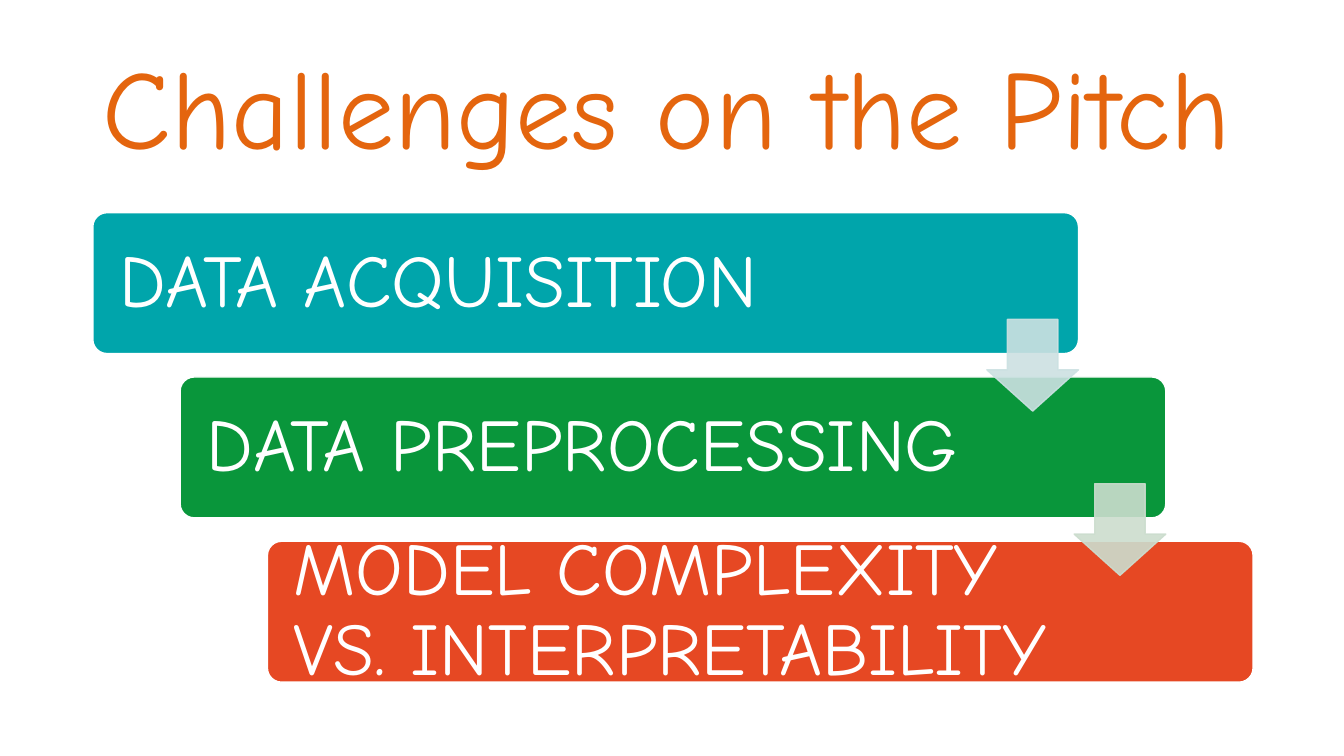
from lxml import etree
from pptx import Presentation
from pptx.dml.color import RGBColor
from pptx.enum import shapes, text
from pptx.oxml.ns import qn
from pptx.util import Cm, Pt

TITLE = "Challenges on the Pitch"
STEPS = [
    ("DATA ACQUISITION", "00A5AB"),
    ("DATA PREPROCESSING", "09963B"),
    ("MODEL COMPLEXITY VS. INTERPRETABILITY", "E64823"),
]
ARROWS = ["CCE1E2", "CCDDCE"]

FONT = "Comic Neue"
LEFT, TOP = 2.34, 5.36
WIDE, HIGH = 24.84, 3.55
RIGHT, DOWN = 2.2, 4.14
HEAD, DROP = 2.31, 2.69


def paint(color, hue):
    color.rgb = RGBColor.from_string(hue)


def fade(color):
    """Make every solid colour in the shape 90 % opaque."""
    for item in color.iter(qn("a:srgbClr")):
        etree.SubElement(item, qn("a:alpha"), val="90000")


def write(shape, words, size, hue, **form):
    frame = shape.text_frame
    form = {"word_wrap": True, "vertical_anchor": text.MSO_ANCHOR.MIDDLE, **form}
    for name, value in form.items():
        setattr(frame, name, value)
    para = frame.paragraphs[0]
    para.alignment = text.PP_ALIGN.LEFT
    para.line_spacing = 0.9
    run = para.add_run()
    run.text = words
    for name, value in {"name": FONT, "size": Pt(size)}.items():
        setattr(run.font, name, value)
    paint(run.font.color, hue)


def draw(slide, kind, box, adjust, fill, line):
    shape = slide.shapes.add_shape(kind, *map(Cm, box))
    shape.shadow.inherit = False
    for place, value in enumerate(adjust):
        shape.adjustments[place] = value
    shape.fill.solid()
    paint(shape.fill.fore_color, fill)
    paint(shape.line.color, line)
    shape.line.width = Pt(1)
    return shape


def main():
    deck = Presentation()
    deck.slide_width, deck.slide_height = Cm(33.87), Cm(19.05)
    slide = deck.slides.add_slide(deck.slide_layouts[6])
    slide.background.fill.solid()
    paint(slide.background.fill.fore_color, "FFFFFF")

    title = slide.shapes.add_textbox(Cm(LEFT), Cm(1.02), Cm(29.21), Cm(3.68))
    write(title, TITLE, 80, "E4650E")

    kinds = shapes.MSO_SHAPE
    pads = {"margin_left": Cm(0.56), "margin_right": Cm(5.08),
            "margin_top": Cm(0.56), "margin_bottom": Cm(0.56)}
    for row, (words, hue) in enumerate(STEPS):
        box = (LEFT + row * RIGHT, TOP + row * DOWN, WIDE, HIGH)
        step = draw(slide, kinds.ROUNDED_RECTANGLE, box, [0.1], hue, "FFFFFF")
        write(step, words, 53, "FFFFFF", **pads)

    for row, hue in enumerate(ARROWS):
        box = (LEFT + WIDE - HEAD + row * RIGHT, TOP + DROP + row * DOWN, HEAD, HEAD)
        arrow = draw(slide, kinds.DOWN_ARROW, box, [0.55, 0.45], hue, hue)
        fade(arrow.element.spPr)

    deck.save("out.pptx")


if __name__ == "__main__":
    main()
